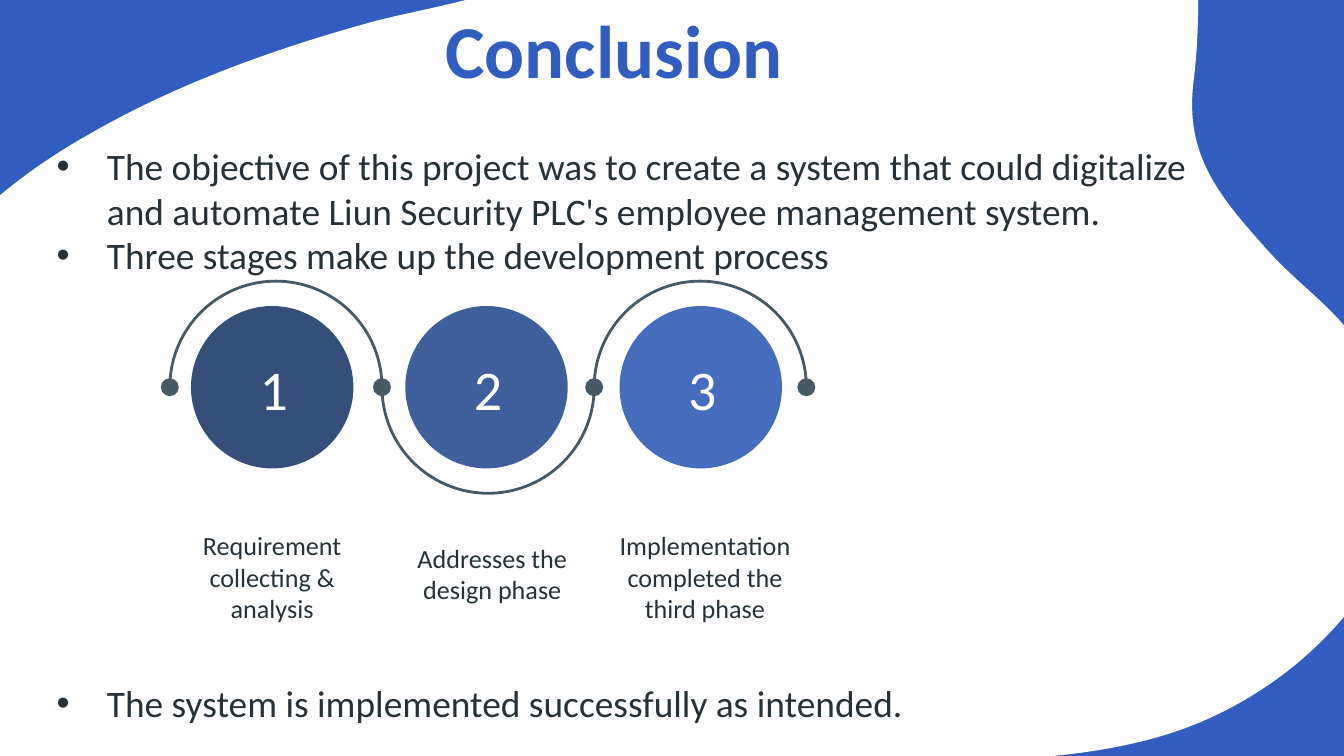
import pptx
import pptx.util
import pptx.dml.color
import pptx.enum.shapes
import pptx.enum.text
import pptx.oxml
import pptx.oxml.ns

Cm, Pt = pptx.util.Cm, pptx.util.Pt
Kind = pptx.enum.shapes.MSO_SHAPE
Align = pptx.enum.text.PP_ALIGN
Anchor = pptx.enum.text.MSO_ANCHOR
SPACE = 'xmlns:a="http://schemas.openxmlformats.org/drawingml/2006/main"'

# Content
TITLE = "Conclusion"
BULLETS = [  # text, space before in points
    ("The objective of this project was to create a system that could digitalize "
     "and automate Liun Security PLC's employee management system.", 0),
    ("Three stages make up the development process", 0),
    ("The system is implemented successfully as intended.", 216),
]
STAGES = [  # number, fill, caption, caption left and top in cm
    ("1", "navy", "Requirement collecting & analysis", 3.24, 9.76),
    ("2", "mid", "Addresses the design phase", 7.4, 10),
    ("3", "light", "Implementation completed the third phase", 11.42, 9.76),
]
COLORS = {"blue": "305DBF", "white": "FFFFFF", "ink": "263238", "slate": "455A64",
          "navy": "364F7A", "mid": "3E5E9C", "light": "466DBD"}
# White wave in cm: one point is a line, three points are a curve
WAVE = [
    [(11.63, -1.7)],
    [(10.62, -0.2), (8.71, 0), (7.16, 0.38)],
    [(5.28, 0.89), (3.35, 1.57), (1.63, 2.57)],
    [(-1.93, 4.6), (-2.9, 7.34), (-2.59, 10.74)],
    [(-2.59, 14.61)],
    [(15.24, 14.61)],
    [(17.6, 14.27), (20.09, 14.58), (22.33, 13.79)],
    [(23.52, 13.36), (24.59, 12.62), (25.4, 11.66)],
    [(26.44, 10.46), (26.77, 8.86), (26.16, 7.42)],
    [(25.6, 6.02), (24.79, 5.64), (24, 4.78)],
    [(23.04, 3.71), (22.38, 2.95), (22.56, 1.52)],
    [(22.78, -0.28), (22.76, -4.14), (19.94, -5.33)],
]

# Sizes in cm
DISC, DISC_X, DISC_GAP = 3.07, 3.61, 4.05
ARC, ARC_X, MID_Y = 4.01, 3.21, 7.32
DOT = 0.34
CAP_W, CAP_H = 3.81, 2.46

# Formats
FRAME = {"word_wrap": True, "auto_size": pptx.enum.text.MSO_AUTO_SIZE.NONE,
         "vertical_anchor": Anchor.TOP,
         **{"margin_" + side: Cm(0.25) for side in ("left", "right", "top", "bottom")}}
CENTER = {**FRAME, "vertical_anchor": Anchor.MIDDLE,
          "margin_left": Cm(0.31), "margin_top": Cm(0.3)}
HEAD = {"size": Pt(40), "bold": True}
BODY = {"size": Pt(20)}
NUMBER = {"size": Pt(30)}
CAPTION = {"size": Pt(14)}


def rgb(name):
    return pptx.dml.color.RGBColor.from_string(COLORS[name])


def apply(item, form):
    for key, value in form.items():
        setattr(item, key, value)


def paint(shape, color):
    shape.shadow.inherit = False
    shape.fill.solid()
    shape.fill.fore_color.rgb = rgb(color)
    shape.line.fill.background()


def place(shape, left, top, width, height):
    apply(shape, {"left": Cm(left), "top": Cm(top),
                  "width": Cm(width), "height": Cm(height)})


def write(para, text, form, color, align):
    para.alignment = align
    run = para.add_run()
    run.text = text
    apply(run.font, {"name": "Calibri", **form})
    run.font.color.rgb = rgb(color)


def bullet(para):
    props = para._p.get_or_add_pPr()
    props.set("marL", str(Cm(1.27)))
    props.set("indent", str(Cm(-0.95)))
    for mark in (f'<a:buClr {SPACE}><a:srgbClr val="{COLORS["ink"]}"/></a:buClr>',
                 f'<a:buFont {SPACE} typeface="Arial"/>',
                 f'<a:buChar {SPACE} char="•"/>'):
        props.append(pptx.oxml.parse_xml(mark))


def bend(shape, parts):
    """Turn each run of three line segments into one curve."""
    lines = iter(shape._element.findall(".//" + pptx.oxml.ns.qn("a:lnTo")))
    for part in parts[1:]:
        group = [next(lines) for _ in part]
        if len(group) == 3:
            curve = pptx.oxml.parse_xml(f"<a:cubicBezTo {SPACE}/>")
            group[0].addprevious(curve)
            for line in group:
                curve.append(line[0])
                line.getparent().remove(line)


deck = pptx.Presentation()
deck.slide_width, deck.slide_height = Cm(25.4), Cm(14.29)
slide = deck.slides.add_slide(deck.slide_layouts[1])
shapes = slide.shapes

# Backdrop
slide.background.fill.solid()
slide.background.fill.fore_color.rgb = rgb("blue")
points = [(Cm(x), Cm(y)) for part in WAVE for x, y in part]
pen = shapes.build_freeform(*points[0], scale=1.0)
pen.add_line_segments(points[1:], close=True)
wave = pen.convert_to_shape()
bend(wave, WAVE)
paint(wave, "white")
shapes._spTree.insert(2, wave._element)

# Title
title = shapes.title
place(title, 0.81, -0.18, 21.59, 1.6)
apply(title.text_frame, FRAME)
write(title.text_frame.paragraphs[0], TITLE, HEAD, "blue", Align.CENTER)

# Bullet list
body = slide.placeholders[1]
place(body, 0.5, 2.45, 22.68, 11.6)
apply(body.text_frame, FRAME)
for i, (text, gap) in enumerate(BULLETS):
    para = body.text_frame.add_paragraph() if i else body.text_frame.paragraphs[0]
    para.space_before = Pt(gap)
    bullet(para)
    write(para, text, BODY, "ink", Align.LEFT)

# Stages: disc, half ring and caption
for i, (number, color, text, left, top) in enumerate(STAGES):
    disc = shapes.add_shape(Kind.OVAL, 0, 0, 0, 0)
    place(disc, DISC_X + i * DISC_GAP, MID_Y - DISC / 2, DISC, DISC)
    paint(disc, color)
    apply(disc.text_frame, CENTER)
    write(disc.text_frame.paragraphs[0], number, NUMBER, "white", Align.CENTER)

    ring = shapes.add_shape(Kind.ARC, 0, 0, 0, 0)
    place(ring, ARC_X + i * ARC, MID_Y - ARC / 2, ARC, ARC)
    ring.adjustments[0], ring.adjustments[1] = (0, 108) if i % 2 else (108, 0)
    ring.shadow.inherit = False
    ring.fill.background()
    ring.line.color.rgb = rgb("slate")
    ring.line.width = Pt(1.5)

    label = shapes.add_textbox(0, 0, 0, 0)
    place(label, left, top, CAP_W, CAP_H)
    apply(label.text_frame, FRAME)
    write(label.text_frame.paragraphs[0], text, CAPTION, "ink", Align.CENTER)

# Dots at the ring ends
for i in range(len(STAGES) + 1):
    dot = shapes.add_shape(Kind.OVAL, 0, 0, 0, 0)
    place(dot, ARC_X + i * ARC - DOT / 2, MID_Y - DOT / 2, DOT, DOT)
    paint(dot, "slate")

deck.save("out.pptx")
